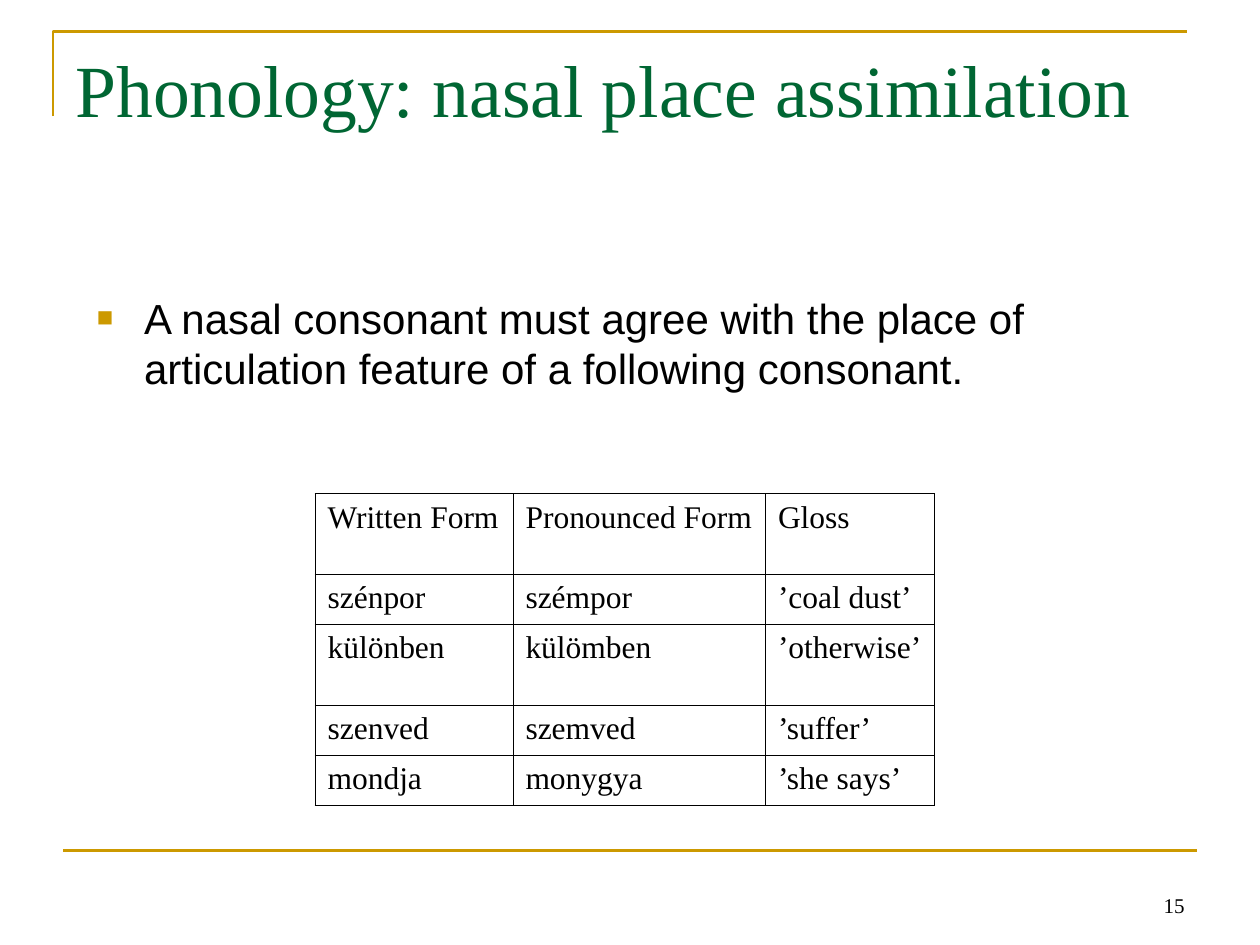
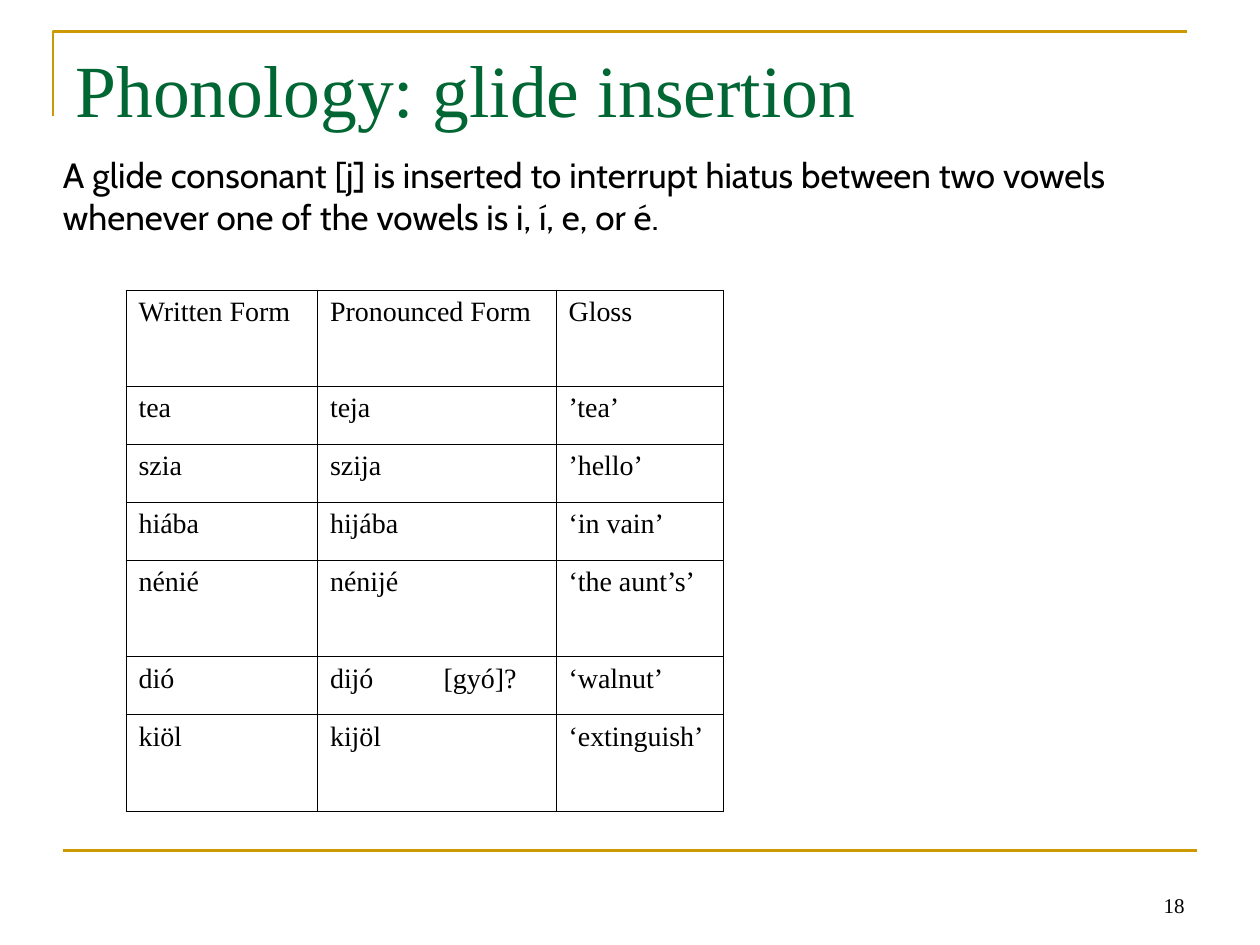
from dataclasses import dataclass

from lxml.etree import SubElement
from pptx import Presentation
from pptx.dml.color import RGBColor
from pptx.enum.shapes import MSO_CONNECTOR
from pptx.enum.text import MSO_ANCHOR, MSO_AUTO_SIZE, PP_ALIGN
from pptx.oxml.ns import qn
from pptx.slide import Slide, SlideLayout
from pptx.text.text import TextFrame
from pptx.util import Cm, Length, Pt

GREEN = RGBColor(0x00, 0x66, 0x33)
GOLD = RGBColor(0xCC, 0x99, 0x00)
BLACK = RGBColor(0x00, 0x00, 0x00)

SERIF = "Times New Roman"
SANS = "Arial"
HUMANIST = "Cabin"

RULE_WIDTH = Pt(1.5)
HEADINGS = ("Written Form", "Pronounced Form", "Gloss")


@dataclass(frozen=True)
class Box:
    left: Length
    top: Length
    width: Length
    height: Length


@dataclass(frozen=True)
class WordTable:
    """Word forms with glosses; rows without words get no outline."""
    left: Length
    top: Length
    columns: tuple[Length, ...]
    heights: tuple[Length, ...]
    rows: tuple[tuple[str, ...], ...]
    size: int


TITLE_BOX = Box(Cm(1.27), Cm(0.76), Cm(22.86), Cm(3.18))
RULE_BOX = Box(Cm(1.7), Cm(4.88), Cm(22.86), Cm(12.6))
GLIDE_BOX = Box(Cm(1.02), Cm(2.97), Cm(24.1), Cm(1.96))
NUMBER_BOX = Box(Cm(18.21), Cm(17.35), Cm(5.92), Cm(1.27))

ONE_LINE, TWO_LINES = Cm(1.01), Cm(1.63)
NASAL_WORDS = WordTable(
    left=Cm(6.35), top=Cm(9.95),
    columns=(Cm(3.99), Cm(5.09), Cm(3.4)),
    heights=(TWO_LINES, ONE_LINE, TWO_LINES, ONE_LINE, ONE_LINE),
    rows=(
        HEADINGS,
        ("szénpor", "szémpor", "’coal dust’"),
        ("különben", "külömben", "’otherwise’"),
        ("szenved", "szemved", "’suffer’"),
        ("mondja", "monygya", "’she says’"),
    ),
    size=18,
)

LOW, HIGH = Cm(1.17), Cm(1.94)
GLIDE_WORDS = WordTable(
    left=Cm(2.54), top=Cm(3.18),
    columns=(Cm(3.86), Cm(4.81), Cm(3.38)),
    heights=(Cm(2.67), HIGH, LOW, LOW, LOW, HIGH, LOW, HIGH),
    rows=(
        ("", "", ""),
        HEADINGS,
        ("tea", "teja", "’tea’"),
        ("szia", "szija", "’hello’"),
        ("hiába", "hijába", "‘in vain’"),
        ("nénié", "nénijé", "‘the aunt’s’"),
        ("dió", "dijó\t[gyó]?", "‘walnut’"),
        ("kiöl", "kijöl", "‘extinguish’"),
    ),
    size=16,
)


def write(frame: TextFrame, *lines: str, size: float, font: str = SERIF,
          color: RGBColor = BLACK, align: PP_ALIGN = PP_ALIGN.LEFT,
          anchor: MSO_ANCHOR = MSO_ANCHOR.TOP) -> None:
    frame.word_wrap = True
    frame.auto_size = MSO_AUTO_SIZE.NONE
    frame.vertical_anchor = anchor
    for index, line in enumerate(lines):
        paragraph = frame.add_paragraph() if index else frame.paragraphs[0]
        paragraph.alignment = align
        paragraph.space_before = Pt(0)
        run = paragraph.add_run()
        run.text = line
        run.font.size = Pt(size)
        run.font.name = font
        run.font.color.rgb = color


def place(shape, box: Box) -> None:
    shape.left, shape.top = box.left, box.top
    shape.width, shape.height = box.width, box.height


def add_text(slide: Slide, box: Box, *lines: str, **text_format) -> None:
    text_box = slide.shapes.add_textbox(box.left, box.top, box.width, box.height)
    write(text_box.text_frame, *lines, **text_format)


def draw_frame(slide: Slide) -> None:
    """Draw the gold corner above the title and the rule above the footer."""
    builder = slide.shapes.build_freeform(Cm(1.07), Cm(2.34))
    builder.add_line_segments(
        [(Cm(1.07), Cm(0.64)), (Cm(23.93), Cm(0.64))], close=False)
    corner = builder.convert_to_shape()
    corner.fill.background()
    corner.shadow.inherit = False
    footer_rule = slide.shapes.add_connector(
        MSO_CONNECTOR.STRAIGHT, Cm(1.27), Cm(17.15), Cm(24.13), Cm(17.15))
    SubElement(footer_rule._element.spPr, qn("a:effectLst"))
    for gold in (corner, footer_rule):
        gold.line.color.rgb = GOLD
        gold.line.width = RULE_WIDTH


def start_slide(layout: SlideLayout, slides, title: str, number: int) -> Slide:
    slide = slides.add_slide(layout)
    draw_frame(slide)
    place(slide.shapes.title, TITLE_BOX)
    write(slide.shapes.title.text_frame, title, size=42, color=GREEN)
    add_text(slide, NUMBER_BOX, str(number), size=12,
             align=PP_ALIGN.RIGHT, anchor=MSO_ANCHOR.BOTTOM)
    return slide


def add_square_bullet(paragraph) -> None:
    properties = paragraph._p.get_or_add_pPr()
    properties.set("marL", str(Cm(0.95)))
    properties.set("indent", str(-Cm(0.95)))
    bullet_color = SubElement(properties, qn("a:buClr"))
    SubElement(bullet_color, qn("a:srgbClr"), val=str(GOLD))
    SubElement(properties, qn("a:buSzPct"), val="65000")
    SubElement(properties, qn("a:buFont"), typeface=SANS)
    SubElement(properties, qn("a:buChar"), char="■")


def add_tab_stop(paragraph, position: Length) -> None:
    tabs = SubElement(paragraph._p.get_or_add_pPr(), qn("a:tabLst"))
    SubElement(tabs, qn("a:tab"), pos=str(position), algn="l")


def outline_cell(cell, drawn_edges: str) -> None:
    """Rule the edges named by letter (L, R, T, B) and clear the others."""
    properties = cell._tc.get_or_add_tcPr()
    for edge in "LRTB":
        border = SubElement(properties, qn(f"a:ln{edge}"), w=str(Pt(0.45)))
        if edge in drawn_edges:
            fill = SubElement(border, qn("a:solidFill"))
            SubElement(fill, qn("a:srgbClr"), val=str(BLACK))
        else:
            SubElement(border, qn("a:noFill"))
    cell.fill.background()


def add_word_table(slide: Slide, words: WordTable) -> None:
    table = slide.shapes.add_table(
        len(words.rows), len(words.columns), words.left, words.top,
        sum(words.columns), sum(words.heights)).table
    table.first_row = table.horz_banding = False
    for column, width in zip(table.columns, words.columns):
        column.width = width
    for row, height, entries in zip(table.rows, words.heights, words.rows):
        row.height = height
        for cell, entry in zip(row.cells, entries):
            outline_cell(cell, "LRTB" if entry else "B")
            if "\t" in entry:
                add_tab_stop(cell.text_frame.paragraphs[0], Cm(2.29))
            if entry:
                write(cell.text_frame, entry, size=words.size)


def add_nasal_slide(presentation) -> None:
    slide = start_slide(presentation.slide_layouts[1], presentation.slides,
                        "Phonology: nasal place assimilation", 15)
    body = slide.placeholders[1]
    place(body, RULE_BOX)
    frame = body.text_frame
    frame.margin_top = Cm(1)
    rule = frame.paragraphs[0]
    add_square_bullet(rule)
    write(frame, "A nasal consonant must agree with the place of articulation "
          "feature of a following consonant.", size=24, font=SANS)
    rule.line_spacing = Pt(29)
    add_word_table(slide, NASAL_WORDS)


def add_glide_slide(presentation) -> None:
    slide = start_slide(presentation.slide_layouts[5], presentation.slides,
                        "Phonology: glide insertion", 18)
    add_word_table(slide, GLIDE_WORDS)
    add_text(slide, GLIDE_BOX,
             "A glide consonant [j] is inserted to interrupt hiatus between two vowels",
             "whenever one of the vowels is i, í, e, or é.",
             size=20, font=HUMANIST)


def main() -> None:
    presentation = Presentation()
    presentation.slide_width, presentation.slide_height = Cm(25.4), Cm(19.05)
    add_nasal_slide(presentation)
    add_glide_slide(presentation)
    presentation.save("out.pptx")


if __name__ == "__main__":
    main()
